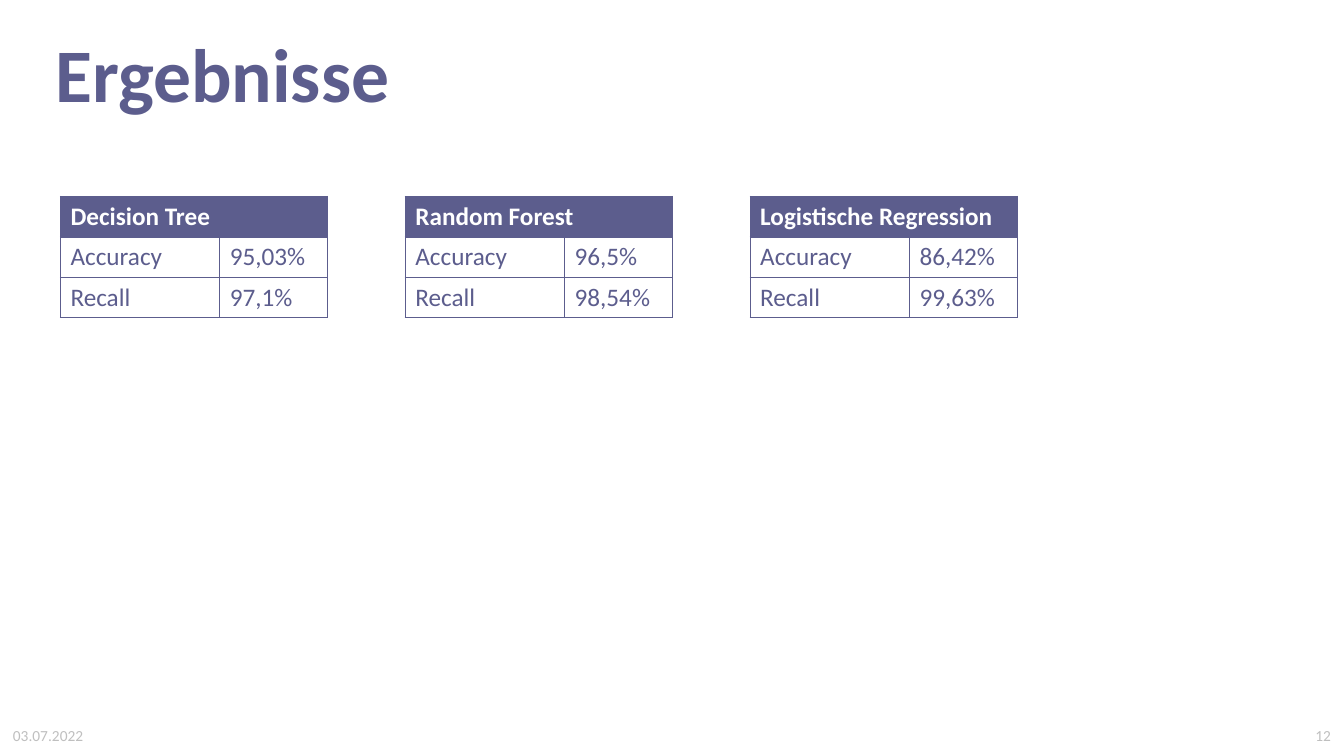
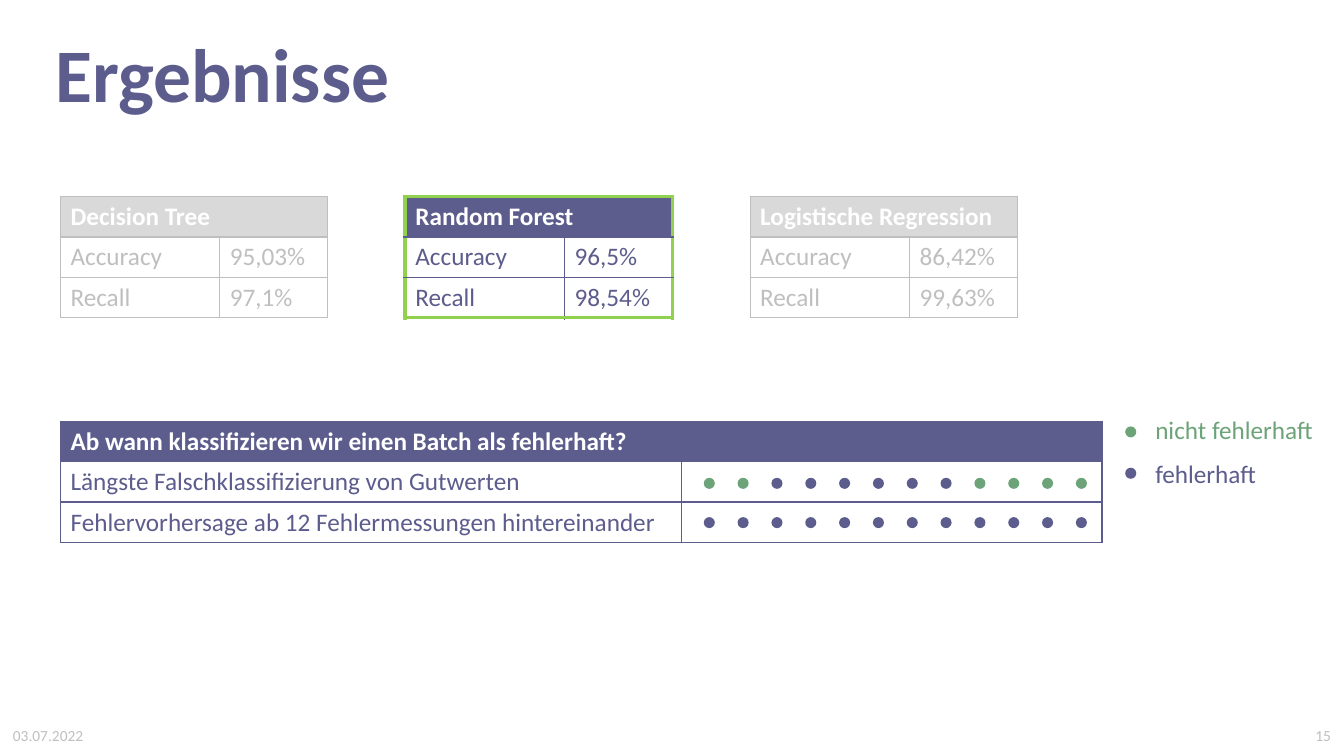
from lxml.etree import SubElement
from pptx import Presentation
from pptx.dml.color import RGBColor
from pptx.enum.shapes import MSO_SHAPE
from pptx.enum.text import MSO_ANCHOR, MSO_AUTO_SIZE, PP_ALIGN
from pptx.oxml.ns import qn
from pptx.util import Inches, Pt

FONT = "Calibri"
PURPLE = RGBColor(0x5C, 0x5D, 0x8D)
GREEN = RGBColor(0x6C, 0xA3, 0x79)
LIME = RGBColor(0x92, 0xD0, 0x50)
GRAY = RGBColor(0xBF, 0xBF, 0xBF)
PALE = RGBColor(0xD9, 0xD9, 0xD9)
WHITE = RGBColor(0xFF, 0xFF, 0xFF)

TITLE = "Ergebnisse"
DATE = "03.07.2022"
MODELS = [
    ("Decision Tree", "95,03%", "97,1%"),
    ("Random Forest", "96,5%", "98,54%"),
    ("Logistische Regression", "86,42%", "99,63%"),
]
BEST = "Random Forest"
BATCH = [
    ("Ab wann klassifizieren wir einen Batch als fehlerhaft?", ""),
    ("Längste Falschklassifizierung von Gutwerten", ""),
    ("Fehlervorhersage ab 12 Fehlermessungen hintereinander", ""),
]
SERIES = [
    (4.74, [GREEN] * 2 + [PURPLE] * 6 + [GREEN] * 4),
    (5.13, [PURPLE] * 12),
]
LEGEND = [
    ("nicht fehlerhaft", GREEN, 4.06, 4.23),
    ("fehlerhaft", PURPLE, 4.5, 4.64),
]

LEFT, TOP, STEP = 0.6, 1.95, 3.42
ROW = 0.4
DOT, DOT_LEFT, DOT_STEP = 0.11, 6.98, 0.3355


def style(para, size, color, bold=False):
    font = para.font
    font.name, font.size, font.bold = FONT, Pt(size), bold
    font.color.rgb = color


def add_text(slide, text, left, top, width, size, color,
             align=PP_ALIGN.LEFT, anchor=MSO_ANCHOR.TOP):
    box = slide.shapes.add_textbox(
        Inches(left), Inches(top), Inches(width), Inches(0.4))
    frame = box.text_frame
    frame.word_wrap = True
    frame.vertical_anchor = anchor
    para = frame.paragraphs[0]
    para.text, para.alignment = text, align
    style(para, size, color)


def add_dot(slide, left, top, color):
    dot = slide.shapes.add_shape(
        MSO_SHAPE.OVAL, Inches(left), Inches(top), Inches(DOT), Inches(DOT))
    dot.shadow.inherit = False
    dot.fill.solid()
    dot.fill.fore_color.rgb = color
    dot.line.fill.background()


def set_edge(cell, side, color, width):
    props = cell._tc.get_or_add_tcPr()
    line = SubElement(props, qn("a:ln" + side), w=str(Pt(width)))
    fill = SubElement(line, qn("a:solidFill"))
    SubElement(fill, qn("a:srgbClr"), val=str(color))


def add_table(slide, rows, left, top, widths, head=PURPLE, ink=PURPLE,
              frame=None):
    """Draw a grid with a merged head row; frame colours a thick outer edge."""
    table = slide.shapes.add_table(
        len(rows), len(widths), Inches(left), Inches(top),
        Inches(sum(widths)), Inches(ROW * len(rows))).table
    table.first_row = table.horz_banding = False
    for col, width in zip(table.columns, widths):
        col.width = Inches(width)
    last_row, last_col = len(rows) - 1, len(widths) - 1
    for r, row in enumerate(rows):
        for c, text in enumerate(row):
            cell = table.cell(r, c)
            outer = {"L": c == 0 or r == 0, "R": c == last_col or r == 0,
                     "T": r == 0, "B": r == last_row}
            for side, is_outer in outer.items():
                thick = frame is not None and is_outer
                set_edge(cell, side, frame if thick else ink,
                         3 if thick else 1)
            cell.fill.solid()
            cell.fill.fore_color.rgb = WHITE if r else head
            para = cell.text_frame.paragraphs[0]
            para.text = text
            style(para, 18, ink if r else WHITE, bold=r == 0)
    table.cell(0, 0).merge(table.cell(0, last_col))


def add_models(slide, focus=None):
    """Place one score table per model, graying all but the focus."""
    for i, (name, accuracy, recall) in enumerate(MODELS):
        rows = [(name, ""), ("Accuracy", accuracy), ("Recall", recall)]
        if focus is None:
            look = {}
        elif name == focus:
            look = {"frame": LIME}
        else:
            look = {"head": PALE, "ink": GRAY}
        add_table(slide, rows, LEFT + i * STEP, TOP, (1.58, 1.07), **look)


def add_slide(deck, number):
    slide = deck.slides.add_slide(deck.slide_layouts[5])
    title = slide.shapes.title
    title.left, title.top = Inches(0.45), Inches(0.22)
    title.width, title.height = Inches(8.39), Inches(1.01)
    frame = title.text_frame
    frame.text = TITLE
    frame.auto_size = MSO_AUTO_SIZE.NONE
    frame.vertical_anchor = MSO_ANCHOR.TOP
    para = frame.paragraphs[0]
    para.alignment = PP_ALIGN.LEFT
    style(para, 54, PURPLE, bold=True)
    for text, left, align in [(DATE, 0.03, PP_ALIGN.LEFT),
                              (number, 10.3, PP_ALIGN.RIGHT)]:
        add_text(slide, text, left, 7.1, 3, 11, GRAY, align,
                 MSO_ANCHOR.MIDDLE)
    return slide


def add_batch(slide):
    add_table(slide, BATCH, LEFT, 4.18, (6.16, 4.17))
    for top, colors in SERIES:
        for i, color in enumerate(colors):
            add_dot(slide, DOT_LEFT + i * DOT_STEP, top, color)
    for text, color, top, dot_top in LEGEND:
        add_dot(slide, 11.16, dot_top, color)
        add_text(slide, text, 11.36, top, 1.88, 18, color)


def main():
    deck = Presentation()
    deck.slide_width, deck.slide_height = Inches(13.33), Inches(7.5)
    add_models(add_slide(deck, "12"))
    slide = add_slide(deck, "15")
    add_models(slide, BEST)
    add_batch(slide)
    deck.save("out.pptx")


if __name__ == "__main__":
    main()
